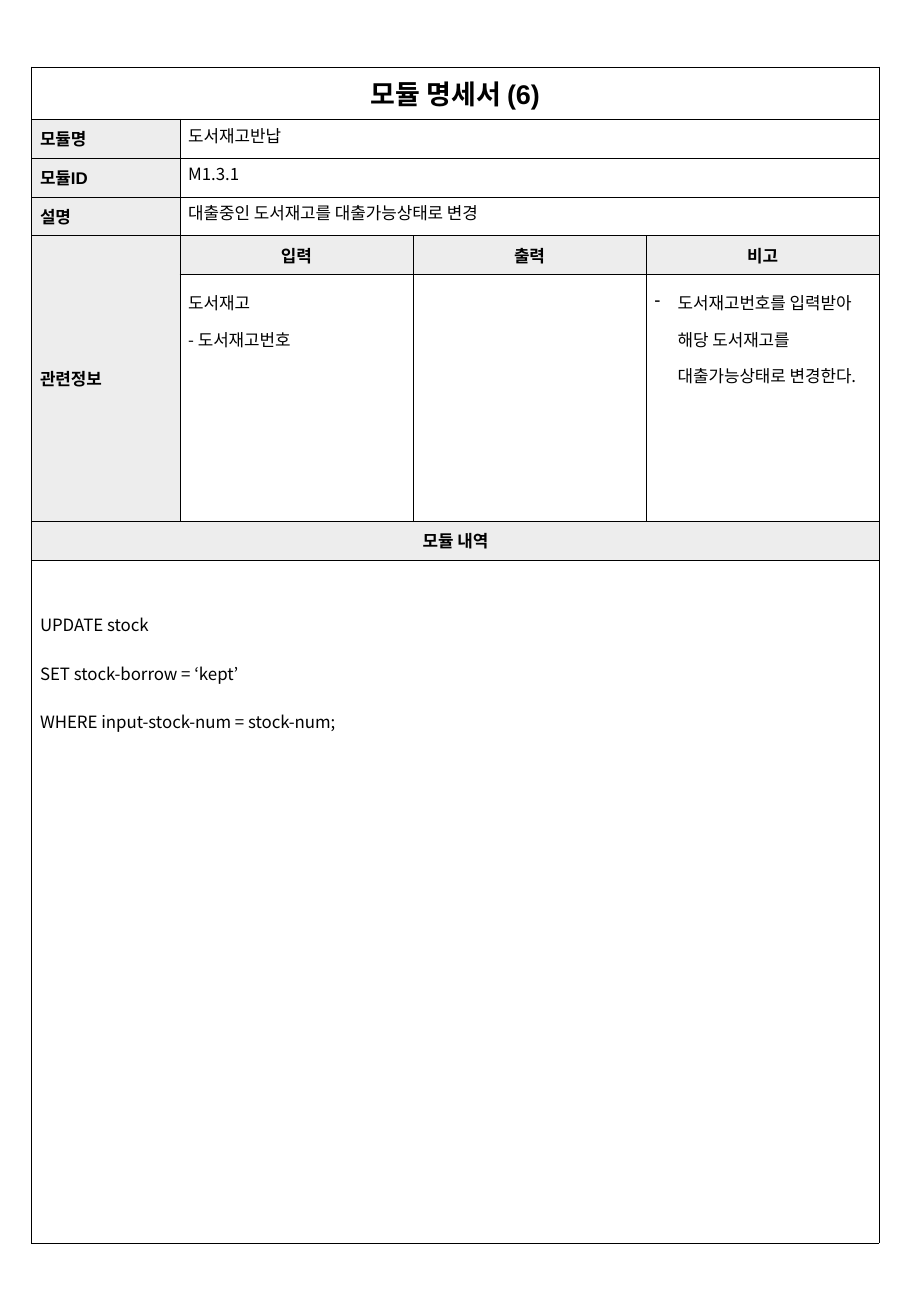
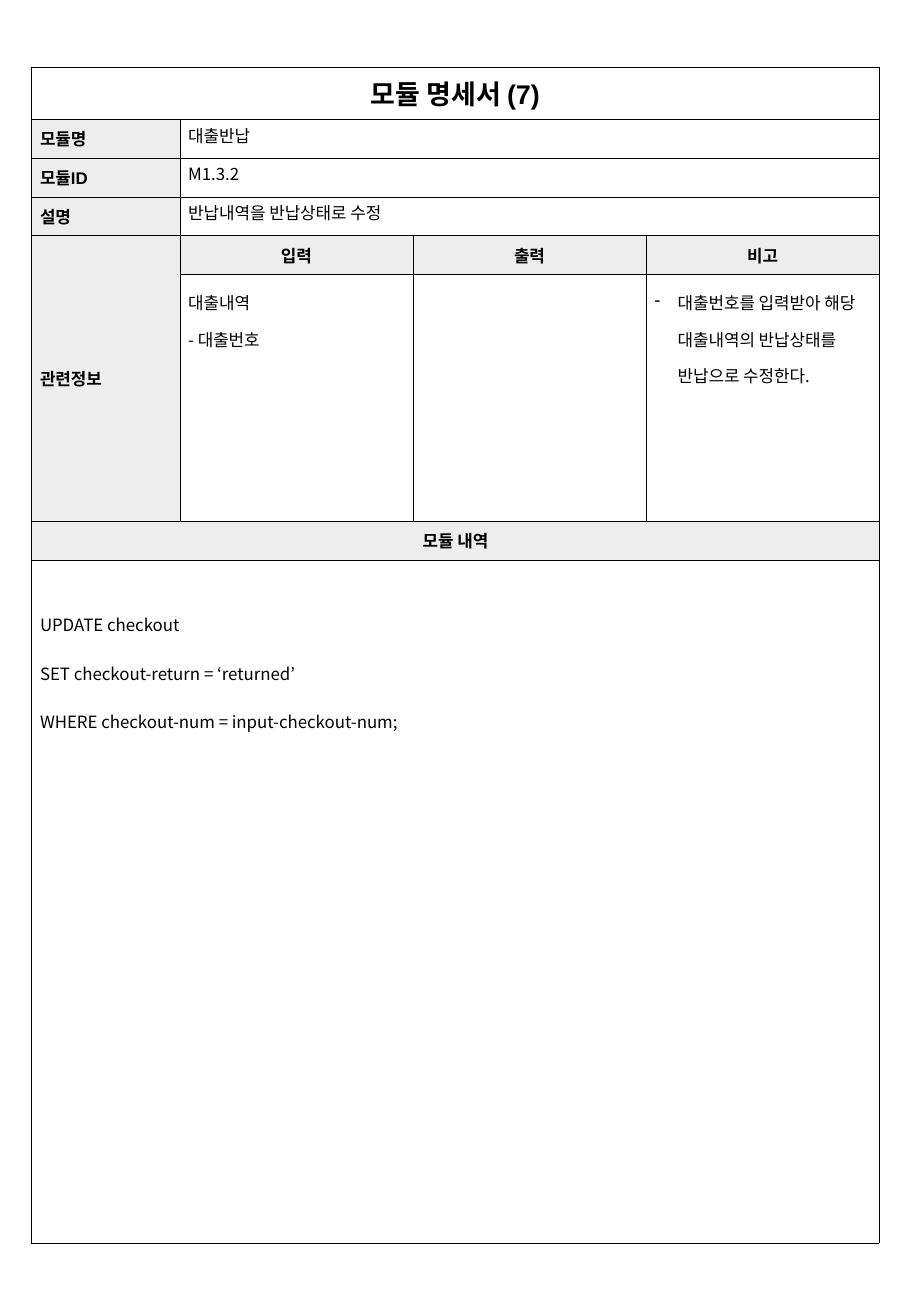
from dataclasses import dataclass

from lxml.etree import SubElement
from pptx import Presentation
from pptx.dml.color import RGBColor as RGB
from pptx.enum.text import MSO_ANCHOR as Anchor, PP_ALIGN as Align
from pptx.oxml import parse_xml
from pptx.oxml.ns import nsdecls, qn
from pptx.table import Table, _Cell as Cell
from pptx.util import Inches, Pt


@dataclass(frozen=True)
class Theme:
    ink: RGB = RGB.from_string("000000")
    paper: RGB = RGB.from_string("FFFFFF")
    label_fill: RGB = RGB.from_string("EDEDED")
    heading_font: str = "Arial"
    body_font: str = "Noto Sans CJK KR"
    title_size: float = 16
    text_size: float = 10
    border_width: float = 0.25
    side_margin: float = 0.07
    edge_margin: float = 0.03
    bullet_indent: float = 0.19


@dataclass(frozen=True)
class ModuleSpec:
    number: int
    name: str
    module_id: str
    summary: str
    inputs: tuple[str, ...]
    note: str
    code: tuple[str, ...]


THEME = Theme()
SLIDE_WIDTH, SLIDE_HEIGHT = 7.5, 10.83
LEFT, TOP = 0.26, 0.55
LABEL_ROW = 0.32
COLUMNS = [1.22] + [1.92] * 3
ROWS = [0.43] + [LABEL_ROW] * 4 + [2.03, LABEL_ROW, 5.62]
LAST_COLUMN = len(COLUMNS) - 1

MODULES = [
    ModuleSpec(
        number=6,
        name="도서재고반납",
        module_id="M1.3.1",
        summary="대출중인 도서재고를 대출가능상태로 변경",
        inputs=("도서재고", "- 도서재고번호"),
        note="도서재고번호를 입력받아 해당 도서재고를 대출가능상태로 변경한다.",
        code=(
            "UPDATE stock",
            "SET stock-borrow = ‘kept’",
            "WHERE input-stock-num = stock-num;",
        ),
    ),
    ModuleSpec(
        number=7,
        name="대출반납",
        module_id="M1.3.2",
        summary="반납내역을 반납상태로 수정",
        inputs=("대출내역", "- 대출번호"),
        note="대출번호를 입력받아 해당 대출내역의 반납상태를 반납으로 수정한다.",
        code=(
            "UPDATE checkout",
            "SET checkout-return = ‘returned’",
            "WHERE checkout-num = input-checkout-num;",
        ),
    ),
]


def write(cell: Cell, *lines: str, heading: bool = False, centered: bool = False,
          size: float = THEME.text_size, spacing: float = 1, bullet: str = "") -> None:
    """Fill a cell with one paragraph per line; headings are bold and centred vertically."""
    if heading:
        cell.vertical_anchor = Anchor.MIDDLE
    frame = cell.text_frame
    for index, line in enumerate(lines):
        paragraph = frame.add_paragraph() if index else frame.paragraphs[0]
        paragraph.alignment = Align.CENTER if centered else Align.LEFT
        paragraph.line_spacing = spacing
        run = paragraph.add_run()
        run.text = line
        font = run.font
        font.size, font.bold = Pt(size), heading
        font.name = THEME.heading_font if heading else THEME.body_font
        font.color.rgb = THEME.ink
        SubElement(run._r.get_or_add_rPr(), qn("a:ea"), typeface=THEME.body_font)
        if bullet:
            properties = paragraph._p.get_or_add_pPr()
            indent = Inches(THEME.bullet_indent)
            properties.set("marL", str(indent))
            properties.set("indent", str(-indent))
            SubElement(properties, qn("a:buChar"), char=bullet)


def draw_borders(cell: Cell) -> None:
    properties = cell._tc.get_or_add_tcPr()
    for position, side in enumerate(("lnL", "lnR", "lnT", "lnB")):
        border = parse_xml(
            f'<a:{side} {nsdecls("a")} w="{Pt(THEME.border_width)}">'
            f'<a:solidFill><a:srgbClr val="{THEME.ink}"/></a:solidFill></a:{side}>'
        )
        properties.insert(position, border)


def add_form(slide) -> Table:
    """Add the empty bordered form with its merged cells."""
    form = slide.shapes.add_table(
        len(ROWS), len(COLUMNS), Inches(LEFT), Inches(TOP),
        Inches(sum(COLUMNS)), Inches(sum(ROWS)),
    ).table
    form.first_row = form.horz_banding = False
    for column, width in zip(form.columns, COLUMNS):
        column.width = Inches(width)
    for row, height in zip(form.rows, ROWS):
        row.height = Inches(height)
    for cell in form.iter_cells():
        cell.fill.solid()
        cell.fill.fore_color.rgb = THEME.paper
        cell.margin_left = cell.margin_right = Inches(THEME.side_margin)
        cell.margin_top = cell.margin_bottom = Inches(THEME.edge_margin)
        draw_borders(cell)
    for row in (0, 6, 7):
        form.cell(row, 0).merge(form.cell(row, LAST_COLUMN))
    for row in (1, 2, 3):
        form.cell(row, 1).merge(form.cell(row, LAST_COLUMN))
    form.cell(4, 0).merge(form.cell(5, 0))
    return form


def write_label(cell: Cell, label: str, centered: bool = False) -> None:
    cell.fill.fore_color.rgb = THEME.label_fill
    write(cell, label, heading=True, centered=centered)


def add_module_slide(deck, module: ModuleSpec) -> None:
    slide = deck.slides.add_slide(deck.slide_layouts.get_by_name("Blank"))
    form = add_form(slide)
    write(form.cell(0, 0), f"모듈 명세서 ({module.number})",
          heading=True, centered=True, size=THEME.title_size)

    fields = {"모듈명": module.name, "모듈ID": module.module_id, "설명": module.summary}
    for row, (label, value) in enumerate(fields.items(), start=1):
        write_label(form.cell(row, 0), label)
        write(form.cell(row, 1), value)

    write_label(form.cell(4, 0), "관련정보")
    for column, label in enumerate(("입력", "출력", "비고"), start=1):
        write_label(form.cell(4, column), label, centered=True)
    write(form.cell(5, 1), *module.inputs, spacing=1.5)
    write(form.cell(5, 3), module.note, spacing=1.5, bullet="-")

    write_label(form.cell(6, 0), "모듈 내역", centered=True)
    code_cell = form.cell(7, 0)
    code_cell.margin_top = Inches(THEME.edge_margin + 0.2)
    write(code_cell, *module.code, spacing=2)


def main() -> None:
    deck = Presentation()
    deck.slide_width, deck.slide_height = Inches(SLIDE_WIDTH), Inches(SLIDE_HEIGHT)
    for module in MODULES:
        add_module_slide(deck, module)
    deck.save("out.pptx")


if __name__ == "__main__":
    main()
